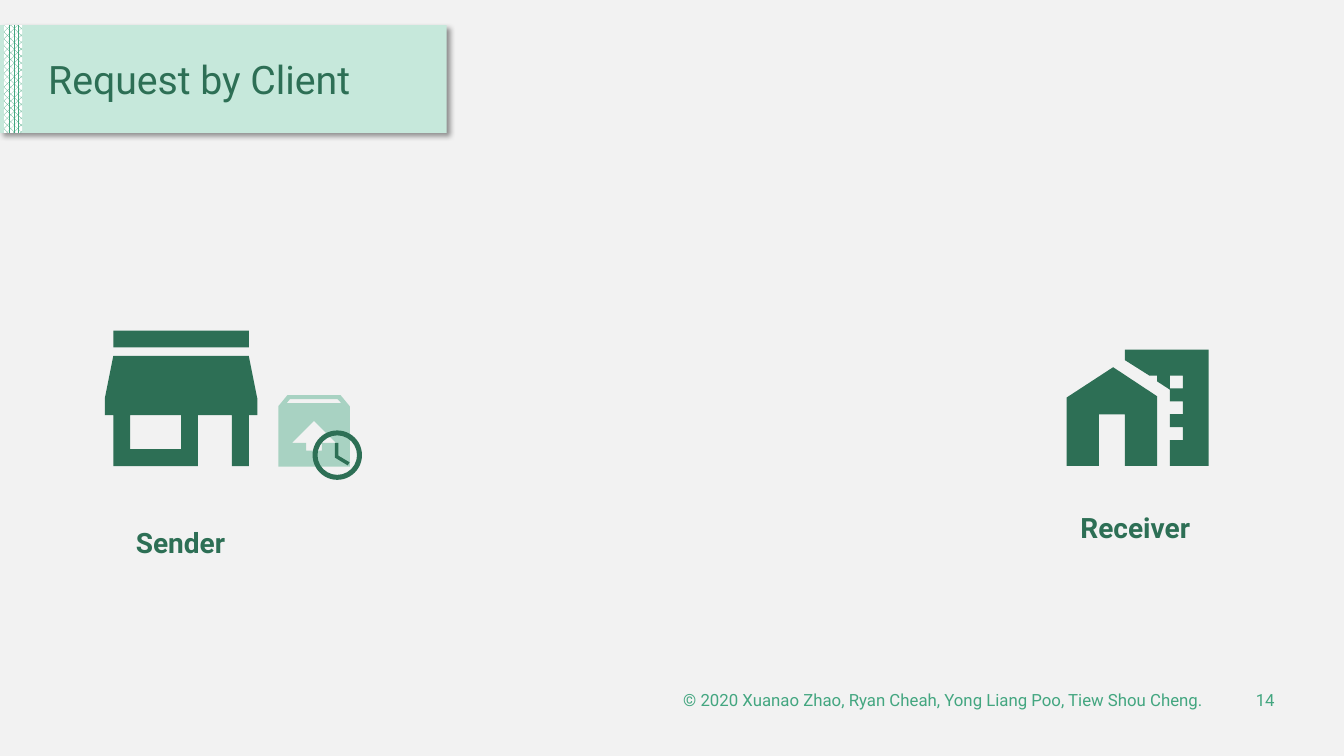
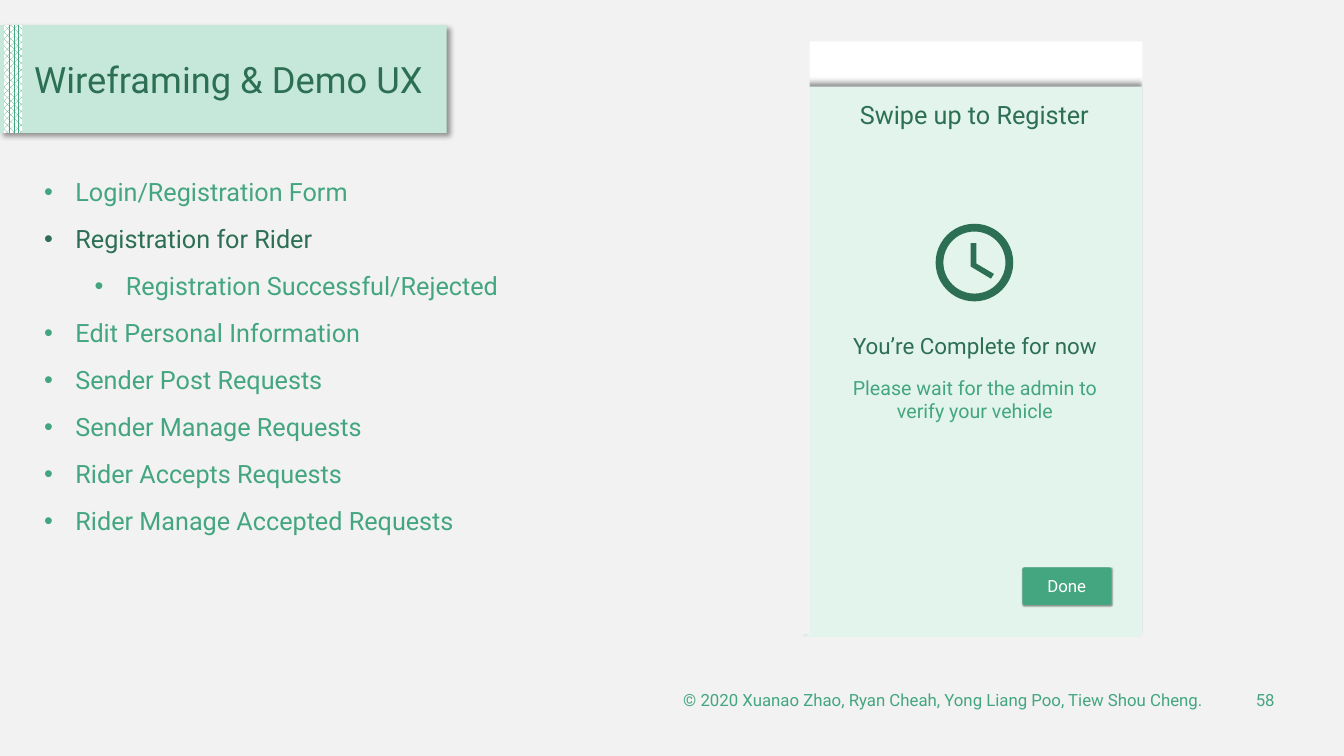
from dataclasses import dataclass

from lxml import etree
from pptx import Presentation
from pptx.dml.color import RGBColor as RGB
from pptx.enum.dml import MSO_PATTERN as Pattern
from pptx.enum.shapes import MSO_SHAPE as Shape
from pptx.enum.text import MSO_ANCHOR as Anchor, PP_ALIGN as Align
from pptx.oxml.ns import qn
from pptx.util import Inches, Pt


@dataclass(frozen=True)
class Theme:
    font: str = "Roboto"
    page: str = "F2F2F2"
    band: str = "C6E8DB"
    panel: str = "E3F4ED"
    dark: str = "2D6F55"
    mid: str = "43A680"
    white: str = "FFFFFF"
    title: float = 28
    label: float = 20
    body: float = 18
    lead: float = 16
    note: float = 14
    small: float = 12


T = Theme()

# Content
FOOTER = "© 2020 Xuanao Zhao, Ryan Cheah, Yong Liang Poo, Tiew Shou Cheng."
TOPICS = [  # text, level, colour
    ("Login/Registration Form", 0, T.mid),
    ("Registration for Rider", 0, T.dark),
    ("Registration Successful/Rejected", 1, T.mid),
    ("Edit Personal Information", 0, T.mid),
    ("Sender Post Requests", 0, T.mid),
    ("Sender Manage Requests", 0, T.mid),
    ("Rider Accepts Requests", 0, T.mid),
    ("Rider Manage Accepted Requests", 0, T.mid),
]
ACTORS = [  # text, left, top
    ("Sender", 0.78, 5.16),
    ("Receiver", 10.25, 5.02),
]
SCREEN = [  # text, box, size, colour
    ("Swipe up to Register", (8, 0.94, 3.33, 0.4), T.body, T.dark),
    ("You’re Complete for now", (8.18, 3.25, 2.98, 0.37), T.lead, T.dark),
    ("Please wait for the admin to verify your vehicle",
     (8.18, 3.68, 2.98, 0.57), T.note, T.mid),
]

# Icon outlines, in grid units
STORE = [
    [(17, 0), (1, 0), (1, 2), (17, 2)],
    [(18, 10), (18, 8), (17, 3), (1, 3), (0, 8), (0, 10), (1, 10), (1, 16),
     (11, 16), (11, 10), (15, 10), (15, 16), (17, 16), (17, 10)],
    [(9, 14), (3, 14), (3, 10), (9, 10)],
]
PARCEL = [
    [(15.7, 0), (2.3, 0), (0, 2.8), (0, 18), (18, 18), (18, 2.8)],
    [(11, 12), (11, 14), (7, 14), (7, 12), (3.5, 12), (9, 6.5), (14.5, 12)],
    [(2.12, 2), (2.94, 1), (14.94, 1), (15.87, 2)],
]
HOUSE = [
    [(7.2, 2.7), (0, 7.4), (0, 18), (5, 18), (5, 10), (9, 10), (9, 18),
     (14, 18), (14, 7.2)],
]
TOWER = [
    [(9, 0), (9, 1.6), (12.8, 4), (14, 4), (14, 4.9), (16, 6.2), (16, 8),
     (18, 8), (18, 10), (16, 10), (16, 12), (18, 12), (18, 14), (16, 14),
     (16, 18), (22, 18), (22, 0)],
    [(18, 6), (16, 6), (16, 4), (18, 4)],
]
HANDS = [
    [(10.5, 5), (9, 5), (9, 11), (14.25, 14.15), (15, 12.92), (10.5, 10.25)],
]
ICONS = [  # outline, left, top, unit, colour, alpha
    (STORE, 1.04, 3.28, 0.084, T.dark, 100),
    (PARCEL, 2.76, 3.92, 0.0394, T.mid, 42),
    (HOUSE, 10.58, 3.47, 0.064, T.dark, 100),
    (TOWER, 10.58, 3.47, 0.064, T.dark, 100),
]


# Drawing helpers
def paint(shape, color, alpha=100):
    shape.shadow.inherit = False
    shape.line.fill.background()
    shape.fill.solid()
    shape.fill.fore_color.rgb = RGB.from_string(color)
    if alpha < 100:
        tone = shape.fill._xPr.find(".//" + qn("a:srgbClr"))
        etree.SubElement(tone, qn("a:alpha"), val=str(alpha * 1000))


def block(slide, box, color, kind=Shape.RECTANGLE):
    shape = slide.shapes.add_shape(kind, *map(Inches, box))
    paint(shape, color)
    return shape


def shade(shape, blur, dist, angle):
    effects = shape._element.spPr.find(qn("a:effectLst"))
    outer = etree.SubElement(
        effects, qn("a:outerShdw"), blurRad=str(Pt(blur)), dist=str(Pt(dist)),
        dir=str(angle * 60000), rotWithShape="0")
    tone = etree.SubElement(outer, qn("a:srgbClr"), val="000000")
    etree.SubElement(tone, qn("a:alpha"), val="40000")


def style(par, size, color, bold=False):
    for run in par.runs:
        font = run.font
        font.name, font.size, font.bold = T.font, Pt(size), bold
        font.color.rgb = RGB.from_string(color)


def frame(slide, box, anchor=Anchor.TOP):
    text = slide.shapes.add_textbox(*map(Inches, box)).text_frame
    text.word_wrap = True
    text.vertical_anchor = anchor
    return text


def label(slide, words, box, size, color, align=Align.CENTER,
          anchor=Anchor.TOP, bold=False):
    par = frame(slide, box, anchor).paragraphs[0]
    par.text = words
    par.alignment = align
    style(par, size, color, bold)
    return par


def icon(slide, outline, left, top, unit, color, alpha=100):
    grid = 100  # whole steps per unit
    paths = [[(round(x * grid), round(y * grid)) for x, y in path]
             for path in outline]
    pen = slide.shapes.build_freeform(*paths[0][0], scale=Inches(unit) / grid)
    for i, path in enumerate(paths):
        if i:
            pen.move_to(*path[0])
        pen.add_line_segments(path[1:], close=True)
    paint(pen.convert_to_shape(Inches(left), Inches(top)), color, alpha)


def clock(slide, left, top, size):
    ring = block(slide, (left, top, size, size), T.dark, Shape.DONUT)
    ring.adjustments[0] = 0.1
    icon(slide, HANDS, left, top, size / 20, T.dark)


def bullet(par, level):
    props = par._p.get_or_add_pPr()
    props.set("marL", str(Inches(0.31 + 0.5 * level)))
    props.set("indent", str(-Inches(0.31)))
    etree.SubElement(props, qn("a:buFont"), typeface="Arial")
    etree.SubElement(props, qn("a:buChar"), char="•")


# Shared page parts
def page(deck):
    slide = deck.slides.add_slide(deck.slide_layouts[6])
    back = slide.background.fill
    back.solid()
    back.fore_color.rgb = RGB.from_string(T.page)
    shade(block(slide, (0, 0.25, 4.43, 1.07), T.band), 4, 3, 45)
    strip = block(slide, (0.04, 0.25, 0.18, 1.07), T.mid).fill
    strip.patterned()
    strip.pattern = Pattern.PERCENT_70
    strip.fore_color.rgb = RGB.from_string(T.mid)
    strip.back_color.rgb = RGB.from_string(T.white)
    return slide


def title(slide, words, left, width, size=T.title):
    par = label(slide, words, (left, 0.41, width, 0.81), size, T.dark,
                Align.LEFT, Anchor.MIDDLE)
    par.line_spacing = 0.9


def footer(slide, number):
    for words, left, width in ((FOOTER, 5.44, 6.59), (number, 12.15, 0.59)):
        label(slide, words, (left, 6.74, width, 0.4), T.small, T.mid,
              Align.RIGHT, Anchor.MIDDLE)


# Slides
def request(deck):
    slide = page(deck)
    title(slide, "Request by Client", 0.38, 3.96)
    for item in ICONS:
        icon(slide, *item)
    clock(slide, 3.1, 4.27, 0.49)
    for words, left, top in ACTORS:
        label(slide, words, (left, top, 2.02, 0.44), T.label, T.dark,
              bold=True)
    footer(slide, "14")


def wireframe(deck):
    slide = page(deck)
    title(slide, "Wireframing & Demo UX", 0.24, 4.17, 25.9)

    # Phone screen, with page-coloured margins that trim its shadow
    block(slide, (8.01, 0.41, 3.33, 5.92), T.white)
    shade(block(slide, (8, 0.86, 3.33, 5.46), T.panel), 4, 3, 270)
    for box in ((11.33, 0.41, 2, 5.92), (7.29, 6.32, 4.6, 1.18),
                (4.56, 0.37, 3.47, 5.92)):
        block(slide, box, T.page)
    for words, box, size, color in SCREEN:
        label(slide, words, box, size, color)
    clock(slide, 9.28, 2.22, 0.77)

    # Button
    done = block(slide, (10.14, 5.63, 0.88, 0.37), T.mid,
                 Shape.ROUNDED_RECTANGLE)
    done.adjustments[0] = 0.05
    shade(done, 1, 1, 45)
    done.text_frame.text = "Done"
    done.text_frame.vertical_anchor = Anchor.MIDDLE
    par = done.text_frame.paragraphs[0]
    par.alignment = Align.CENTER
    style(par, T.small, T.white)

    # Topic list
    text = frame(slide, (0.34, 1.7, 4.99, 3.7))
    for i, (words, level, color) in enumerate(TOPICS):
        par = text.add_paragraph() if i else text.paragraphs[0]
        par.text = words
        par.level = level
        bullet(par, level)
        if i:
            par.space_before = Pt(12)
        style(par, T.body, color)
    footer(slide, "58")


def main():
    deck = Presentation()
    deck.slide_width, deck.slide_height = Inches(13.33), Inches(7.5)
    request(deck)
    wireframe(deck)
    deck.save("out.pptx")


if __name__ == "__main__":
    main()
